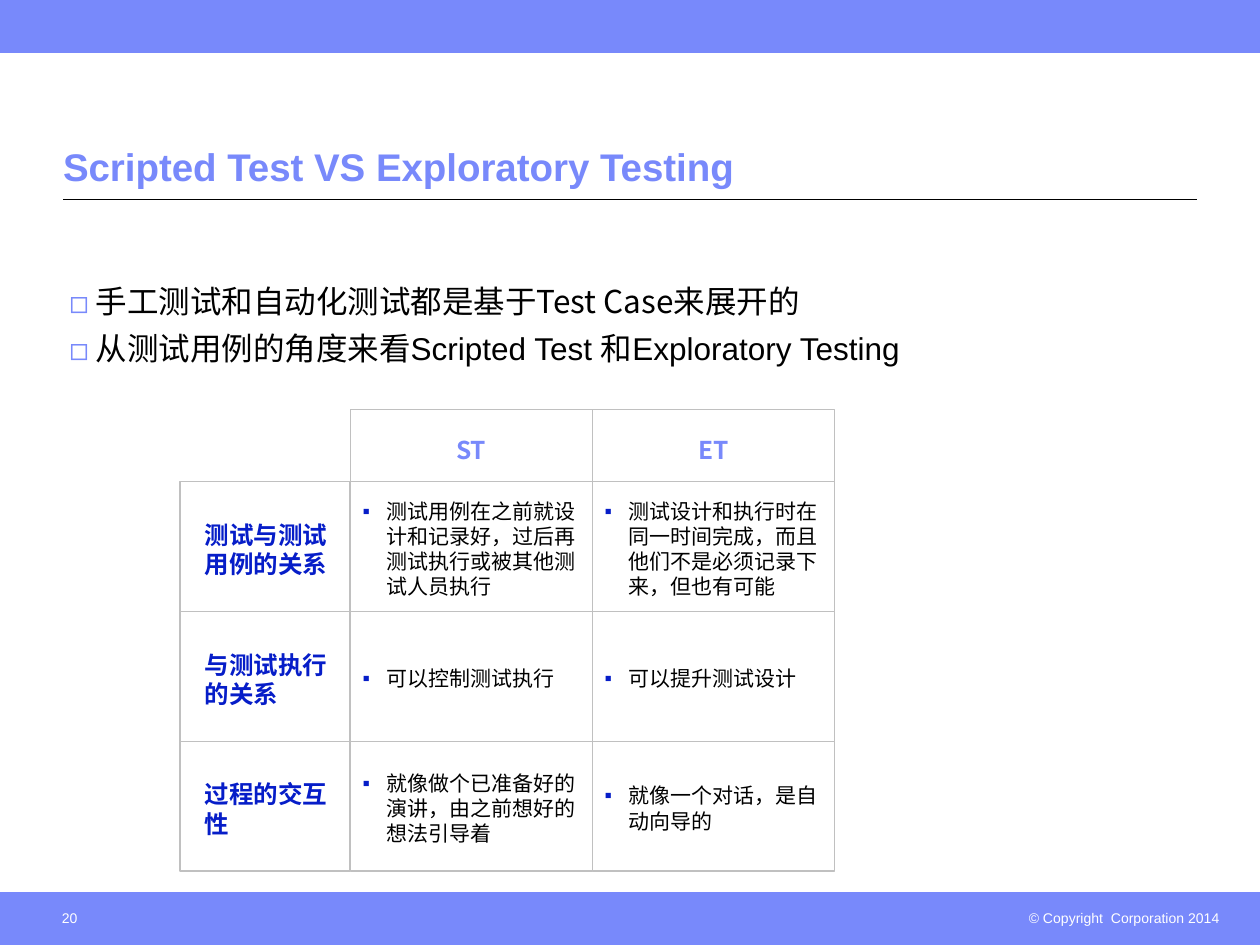
from dataclasses import dataclass

from lxml import etree
from pptx import Presentation
from pptx import util as u
from pptx.dml.color import RGBColor
from pptx.enum import shapes, text
from pptx.oxml import ns

Cm, Pt = u.Cm, u.Pt


@dataclass(frozen=True)
class Theme:
    accent: str = "7889FB"
    strong: str = "061DC8"
    ink: str = "000000"
    paper: str = "FFFFFF"
    grid: str = "C0C0C0"
    latin: str = "Arial"
    cjk: str = "Noto Sans CJK SC"
    title: float = 22
    body: float = 18
    heading: float = 14
    cell: float = 12
    small: float = 8
    leading: float = 1.2


THEME = Theme()
WIDTH, HEIGHT = 25.4, 19.05
BAND = 1.06
BULLETS = [
    [("手工测试和自动化测试都是基于Test Case来展开的", THEME.cjk)],
    [("从测试用例的角度来看", THEME.cjk),
     ("Scripted Test 和Exploratory Testing", THEME.latin)],
]
HEADINGS = ["ST", "ET"]
COMPARISON = [
    ("测试与测试用例的关系",
     "测试用例在之前就设计和记录好，过后再测试执行或被其他测试人员执行",
     "测试设计和执行时在同一时间完成，而且他们不是必须记录下来，但也有可能"),
    ("与测试执行的关系", "可以控制测试执行", "可以提升测试设计"),
    ("过程的交互性", "就像做个已准备好的演讲，由之前想好的想法引导着",
     "就像一个对话，是自动向导的"),
]


def rgb(color):
    return RGBColor.from_string(color)


def sub(parent, tag, **attributes):
    return etree.SubElement(parent, ns.qn(tag), **attributes)


def add_run(paragraph, words, size, color, font=THEME.cjk, bold=False):
    run = paragraph.add_run()
    run.text = words
    run.font.size, run.font.bold, run.font.name = Pt(size), bold, font
    run.font.color.rgb = rgb(color)
    sub(run._r.get_or_add_rPr(), "a:ea", typeface=THEME.cjk)


def add_bullet(paragraph, char, color, indent, font):
    properties = paragraph._p.get_or_add_pPr()
    properties.set("marL", str(Cm(indent)))
    properties.set("indent", str(-Cm(indent)))
    sub(sub(properties, "a:buClr"), "a:srgbClr", val=color)
    sub(properties, "a:buFont", typeface=font)
    sub(properties, "a:buChar", char=char)


def set_insets(frame, left, top, right, bottom):
    frame.margin_left, frame.margin_top = Cm(left), Cm(top)
    frame.margin_right, frame.margin_bottom = Cm(right), Cm(bottom)


def place(shape, box):
    shape.left, shape.top, shape.width, shape.height = map(Cm, box)


def add_rule(slide, left, top, width, color, weight):
    rule = slide.shapes.add_connector(
        shapes.MSO_CONNECTOR.STRAIGHT, Cm(left), Cm(top), Cm(left + width), Cm(top))
    rule.line.color.rgb, rule.line.width = rgb(color), Pt(weight)
    sub(rule._element.spPr, "a:effectLst")


def add_rectangle(slide, box, fill, line):
    rectangle = slide.shapes.add_shape(shapes.MSO_SHAPE.RECTANGLE, *map(Cm, box))
    rectangle.shadow.inherit = False
    rectangle.fill.solid()
    rectangle.fill.fore_color.rgb = rgb(fill)
    rectangle.line.color.rgb, rectangle.line.width = rgb(line), Pt(0.75)
    return rectangle


def add_band(slide, box, edge):
    add_rectangle(slide, box, THEME.accent, THEME.accent)
    add_rule(slide, box[0], edge, box[2], THEME.accent, 0.5)


def add_small_text(slide, box, words, insets, align):
    frame = slide.shapes.add_textbox(*map(Cm, box)).text_frame
    frame.word_wrap = True
    set_insets(frame, *insets)
    frame.paragraphs[0].alignment = align
    add_run(frame.paragraphs[0], words, THEME.small, THEME.paper, THEME.latin)


def add_footer(slide, box):
    left, top, width, _ = box
    add_band(slide, box, top)
    add_small_text(slide, (left + width - 5.51, top + 0.22, 4.95, 0.61),
                   "© Copyright  Corporation 2014",
                   (0.25, 0.13, 0.25, 0.13), text.PP_ALIGN.RIGHT)
    add_small_text(slide, (left + 0.84, top + 0.17, 3.38, 0.89), "20",
                   (0.41, 0.18, 0.25, 0.13), text.PP_ALIGN.LEFT)


def fill_title(slide, box):
    title = slide.shapes.title
    place(title, box)
    frame = title.text_frame
    frame.auto_size, frame.word_wrap = text.MSO_AUTO_SIZE.NONE, True
    frame.vertical_anchor = text.MSO_ANCHOR.BOTTOM
    set_insets(frame, 0, 0.13, 0, 0.15)
    frame.paragraphs[0].alignment = text.PP_ALIGN.LEFT
    add_run(frame.paragraphs[0], "Scripted Test VS Exploratory Testing",
            THEME.title, THEME.accent, THEME.latin, bold=True)
    left, top, width, height = box
    add_rule(slide, left, top + height + 0.05, width, THEME.ink, 0.75)


def fill_bullets(slide, box):
    body = slide.placeholders[1]
    place(body, box)
    frame = body.text_frame
    frame.auto_size, frame.word_wrap = text.MSO_AUTO_SIZE.NONE, True
    set_insets(frame, 0.13, 0.15, 0.13, 0.13)
    for index, parts in enumerate(BULLETS):
        paragraph = frame.add_paragraph() if index else frame.paragraphs[0]
        add_bullet(paragraph, "◻", THEME.accent, 0.53, THEME.cjk)
        paragraph.line_spacing = Pt(22.4)
        paragraph.space_before = Pt(4.5 if index else 0)
        for words, font in parts:
            add_run(paragraph, words, THEME.body, THEME.ink, font)


def add_cell(slide, box, words, size, color, insets, align, bold=False):
    frame = add_rectangle(slide, box, THEME.paper, THEME.grid).text_frame
    frame.word_wrap = True
    frame.vertical_anchor = text.MSO_ANCHOR.MIDDLE
    set_insets(frame, *insets)
    paragraph = frame.paragraphs[0]
    paragraph.alignment = align
    if not bold:
        add_bullet(paragraph, "▪", THEME.strong, 0.48, THEME.latin)
    paragraph.line_spacing = Pt(round(size * THEME.leading, 1))
    add_run(paragraph, words, size, color, bold=bold)


def add_comparison(slide, box):
    left, top, width, height = box
    label_width, heading_height = 3.43, 1.45
    column_width = (width - label_width) / len(HEADINGS)
    row_height = (height - heading_height) / len(COMPARISON)
    column_lefts = [left + label_width + i * column_width for i in range(len(HEADINGS))]
    for column_left, heading in zip(column_lefts, HEADINGS):
        add_cell(slide, (column_left, top, column_width, heading_height + 0.05), heading,
                 THEME.heading, THEME.accent, (0.25, 0.35, 0.25, 0.25),
                 text.PP_ALIGN.CENTER, bold=True)
    for index, (label, *details) in enumerate(COMPARISON):
        row_top = top + heading_height + index * row_height
        add_cell(slide, (left, row_top, label_width, row_height), label,
                 THEME.heading, THEME.strong, (0.5, 0.35, 0.25, 0.25),
                 text.PP_ALIGN.LEFT, bold=True)
        for column_left, detail in zip(column_lefts, details):
            add_cell(slide, (column_left, row_top, column_width, row_height), detail,
                     THEME.cell, THEME.ink, (0.25, 0.21, 0.25, 0.13),
                     text.PP_ALIGN.LEFT)


def main():
    deck = Presentation()
    deck.slide_width, deck.slide_height = Cm(WIDTH), Cm(HEIGHT)
    slide = deck.slides.add_slide(deck.slide_layouts[1])
    add_band(slide, (0, 0, WIDTH, BAND), BAND)
    add_footer(slide, (0, HEIGHT - BAND, WIDTH, BAND))
    fill_title(slide, (1.27, 1.63, 22.86, 2.34))
    fill_bullets(slide, (1.27, 5.51, 22.86, 11.51))
    add_comparison(slide, (3.63, 8.26, 13.19, 9.3))
    deck.save("out.pptx")


if __name__ == "__main__":
    main()
